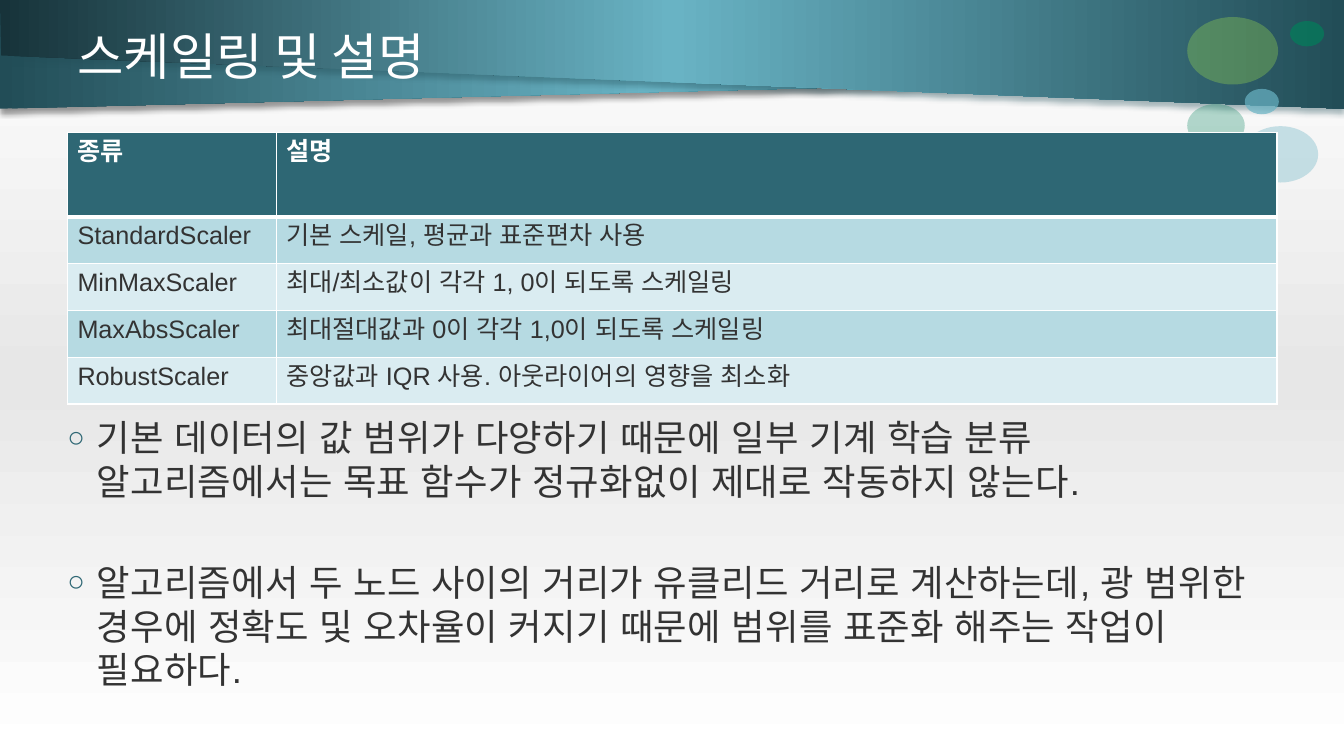
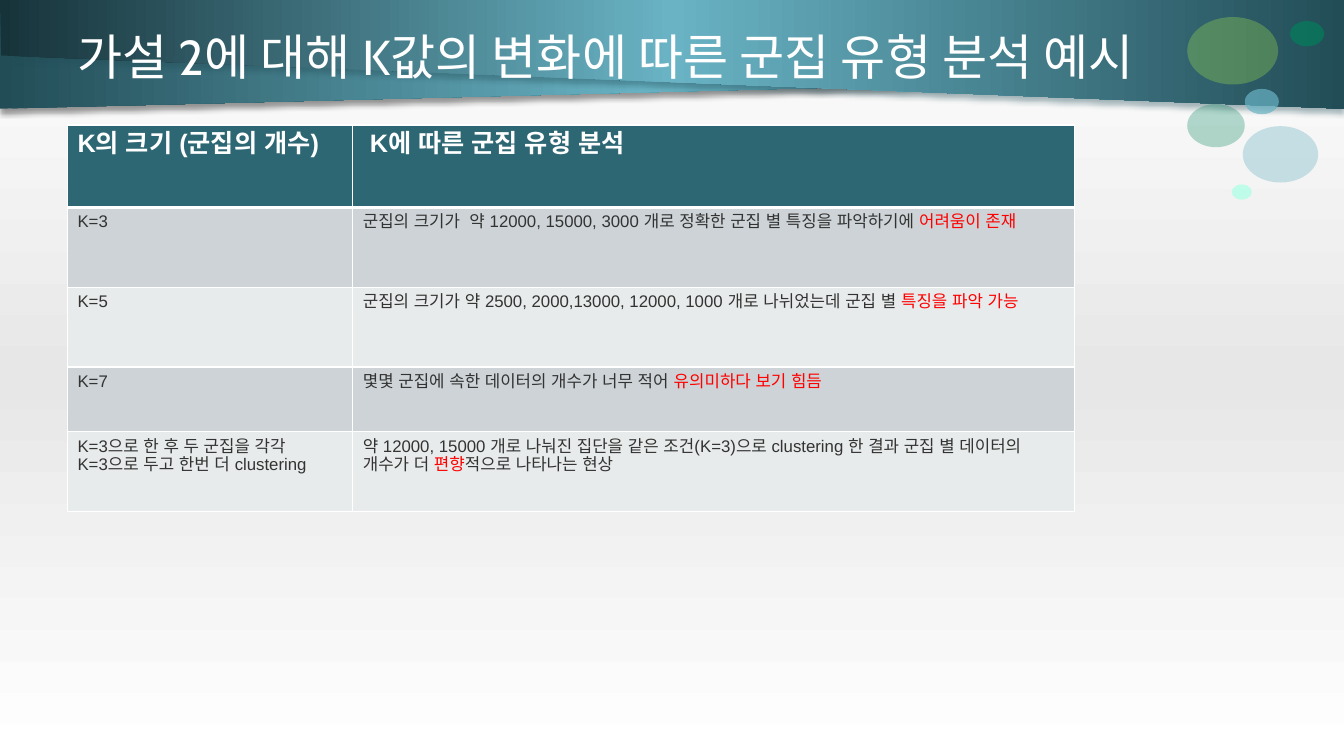
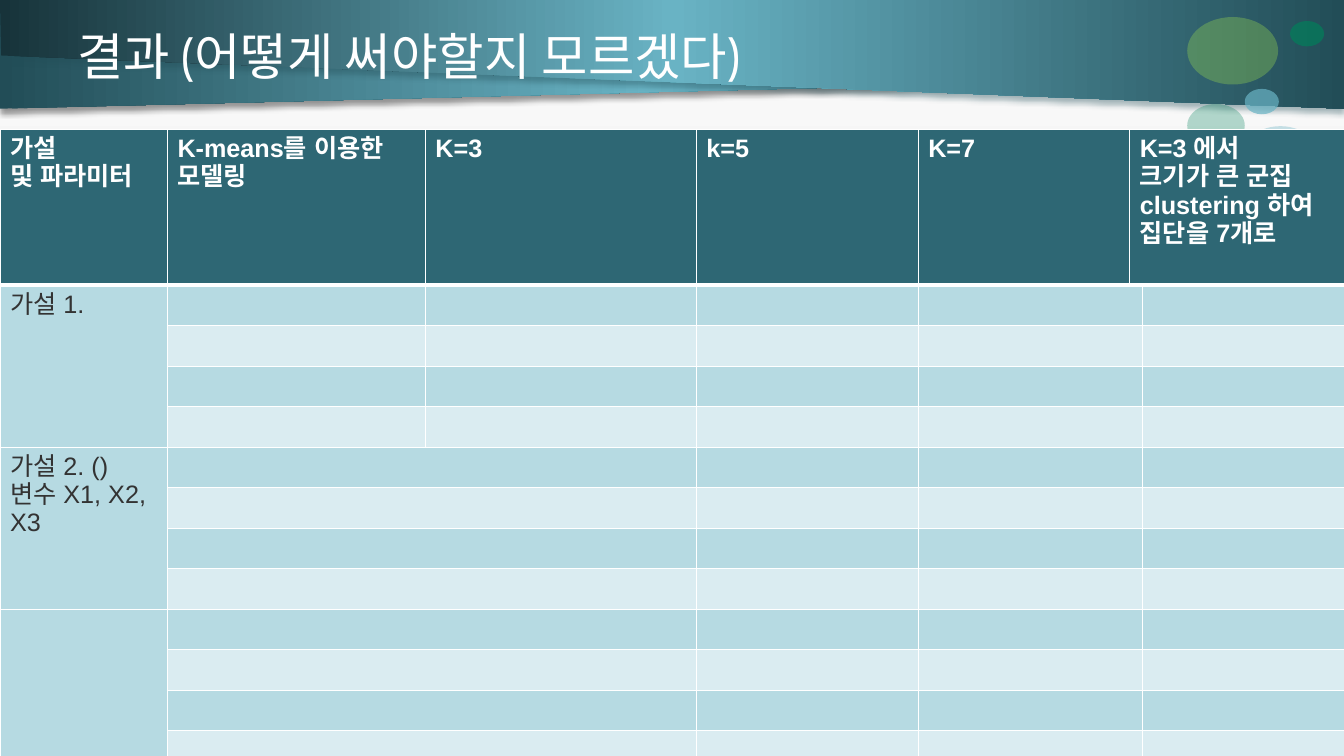
from lxml import etree
from pptx import Presentation, util as u
from pptx.dml.color import RGBColor
from pptx.enum import shapes, text
from pptx.oxml import ns

Cm, Pt = u.Cm, u.Pt

HUES = {
    "white": "FFFFFF", "black": "000000", "ink": "333333", "red": "FF0000",
    "grey": "E7E7E7", "deep": "2E6774", "teal": "69B3C4", "dark": "224D57",
    "night": "17333A", "mint": "B3FFE8", "green": "00825A", "lime": "93D151",
    "aqua": "B6DAE2", "pale": "DAECF1", "stone": "CDD3D6", "mist": "E8EBEB",
}
BANDS = [
    ([(0, 0), (32.74, 1.91), (0, 2.74)], "dark", "black"),
    ([(33.87, 0), (0, 0), (0.03, 1.4), (33.87, 2.74)], "night", "dark"),
]
DOTS = [
    (31.04, 4.65, 0.51, 0.38, "mint", 82),
    (29.92, 2.62, 1.45, 1.09, "green", 29),
    (31.32, 3.18, 1.9, 1.42, "teal", 35),
    (31.37, 2.24, 0.86, 0.64, "teal", 70),
    (29.92, 0.43, 2.29, 1.7, "lime", 36),
    (32.51, 0.53, 0.86, 0.64, "green", 65),
]


def rgb(name):
    return RGBColor.from_string(HUES[name])


def add(node, tag, **attrs):
    """Append a child element such as a:ln and return it."""
    child = etree.SubElement(node, ns.qn(tag))
    for key, val in attrs.items():
        child.set(key, str(val))
    return child


def blend(fill, root, names, angle=0):
    """Fill with evenly spaced gradient stops; root holds the gradient."""
    fill.gradient()
    fill.gradient_angle = angle
    stops = root.xpath(".//a:gsLst")[0]
    for stop in list(stops):
        stops.remove(stop)
    for i, name in enumerate(names):
        stop = add(stops, "a:gs", pos=100000 * i // (len(names) - 1))
        add(stop, "a:srgbClr", val=HUES[name])


def write(frame, words, size=18, face="Arial", hue="ink", bold=False,
          gap=0, mark=None, track=0):
    """Fill a text frame: newlines part paragraphs, *stars* turn red."""
    frame.word_wrap = True
    for i, part in enumerate(words.split("\n")):
        para = frame.add_paragraph() if i else frame.paragraphs[0]
        if i and gap:
            para.space_before = Pt(gap)
        for j, bit in enumerate(part.split("*")):
            if not bit:
                continue
            run = para.add_run()
            run.text = bit
            run.font.size = Pt(size)
            run.font.name = face
            run.font.bold = bold
            run.font.color.rgb = rgb("red" if j % 2 else hue)
            props = run._r.get_or_add_rPr()
            add(props, "a:ea", typeface=face)
            if track:
                props.set("spc", str(track))
        if mark:
            props = para._p.get_or_add_pPr()
            props.set("marL", str(Cm(0.74)))
            props.set("indent", str(-Cm(0.74)))
            add(add(props, "a:buClr"), "a:srgbClr", val=HUES["deep"])
            add(props, "a:buSzPct", val=80000)
            add(props, "a:buFont", typeface=face)
            add(props, "a:buChar", char=mark)


class Deck:
    def __init__(self):
        self.file = Presentation()
        self.file.slide_width = Cm(33.87)
        self.file.slide_height = Cm(19.05)
        self.page = None

    def start(self, title, size=36):
        """Open a slide with backdrop, bands, dots and title."""
        self.page = self.file.slides.add_slide(self.file.slide_layouts[6])
        blend(self.page.background.fill, self.page.element,
              ["white", "grey", "white"], 270)
        for band in BANDS:
            self.band(*band)
        for dot in DOTS:
            self.dot(*dot)
        self.text(1.7, 0.2, 30.48, 2.41, title, text.MSO_ANCHOR.MIDDLE,
                  size=size, face="Cabin", hue="white")

    def band(self, points, edge, shade):
        first, *rest = [(Cm(x), Cm(y)) for x, y in points]
        pen = self.page.shapes.build_freeform(*first)
        pen.add_line_segments(rest, close=True)
        form = pen.convert_to_shape()
        form.line.fill.background()
        form.shadow.inherit = False
        blend(form.fill, form.element, [edge, "teal", "dark"])
        glow = add(form.element.xpath(".//a:effectLst")[0], "a:outerShdw",
                   blurRad=Pt(4), dist=Pt(3), dir=5400000,
                   algn="t", rotWithShape=0)
        tone = add(glow, "a:srgbClr", val=HUES[shade])
        add(tone, "a:alpha", val=40000)

    def dot(self, x, y, w, h, hue, alpha):
        oval = self.page.shapes.add_shape(
            shapes.MSO_SHAPE.OVAL, Cm(x), Cm(y), Cm(w), Cm(h))
        oval.shadow.inherit = False
        oval.line.fill.background()
        oval.fill.solid()
        oval.fill.fore_color.rgb = rgb(hue)
        tone = oval.element.xpath("./p:spPr/a:solidFill/a:srgbClr")[0]
        add(tone, "a:alpha", val=alpha * 1000)

    def text(self, x, y, w, h, words, anchor=text.MSO_ANCHOR.TOP, **form):
        box = self.page.shapes.add_textbox(Cm(x), Cm(y), Cm(w), Cm(h))
        box.text_frame.vertical_anchor = anchor
        write(box.text_frame, words, **form)

    def table(self, x, y, cols, rows, cells, tints=("aqua", "pale"),
              size=18, spans=()):
        """Place a table; spans lists first and last cell of each merge."""
        grid = self.page.shapes.add_table(
            len(rows), len(cols), Cm(x), Cm(y),
            Cm(sum(cols)), Cm(sum(rows))).table
        grid.first_row = grid.horz_banding = False
        for col, wide in zip(grid.columns, cols):
            col.width = Cm(wide)
        for r, (row, high) in enumerate(zip(grid.rows, rows)):
            row.height = Cm(high)
            for c, cell in enumerate(row.cells):
                self.edge(cell, r)
                cell.fill.solid()
                cell.fill.fore_color.rgb = rgb(tints[(r - 1) % 2] if r else "deep")
                words = cells.get((r, c))
                if words and r:
                    write(cell.text_frame, words, size=size)
                elif words:
                    write(cell.text_frame, words, hue="white", bold=True)
        for head, tail in spans:
            grid.cell(*head).merge(grid.cell(*tail))

    def edge(self, cell, row):
        """Draw white cell borders, thick below the header row."""
        props = cell._tc.get_or_add_tcPr()
        for side in "LRTB":
            thick = (row, side) in ((0, "B"), (1, "T"))
            line = add(props, "a:ln" + side, w=Pt(3 if thick else 1))
            add(add(line, "a:solidFill"), "a:srgbClr", val=HUES["white"])


def index(rows):
    return {(r, c): words for r, row in enumerate(rows)
            for c, words in enumerate(row)}


def main():
    deck = Deck()

    deck.start("스케일링 및 설명")
    deck.table(1.7, 3.33, [5.26, 25.22], [2.13] + [1.18] * 4, index([
        ("종류", "설명"),
        ("StandardScaler", "기본 스케일, 평균과 표준편차 사용"),
        ("MinMaxScaler", "최대/최소값이 각각 1, 0이 되도록 스케일링"),
        ("MaxAbsScaler", "최대절대값과 0이 각각 1,0이 되도록 스케일링"),
        ("RobustScaler", "중앙값과 IQR 사용. 아웃라이어의 영향을 최소화"),
    ]))
    deck.text(
        1.45, 10.34, 30.91, 7.52,
        "기본 데이터의 값 범위가 다양하기 때문에 일부 기계 학습 분류 "
        "알고리즘에서는 목표 함수가 정규화없이 제대로 작동하지 않는다.\n"
        "알고리즘에서 두 노드 사이의 거리가 유클리드 거리로 계산하는데, "
        "광 범위한 경우에 정확도 및 오차율이 커지기 때문에 범위를 표준화 "
        "해주는 작업이 필요하다.",
        size=26, gap=41, mark="○", track=10)

    deck.start("가설 2에 대해 K값의 변화에 따른 군집 유형 분석 예시", 35)
    deck.table(1.7, 3.15, [7.19, 18.19], [2.08, 2.01, 2.01, 1.63, 2.01], index([
        ("K의 크기 (군집의 개수)", " K에 따른 군집 유형 분석"),
        ("K=3", "군집의 크기가  약 12000, 15000, 3000 개로 정확한 군집 별 "
                "특징을 파악하기에 *어려움이 존재*"),
        ("K=5", "군집의 크기가 약 2500, 2000,13000, 12000, 1000 개로 "
                "나뉘었는데 군집 별 *특징을 파악 가능*"),
        ("K=7", "몇몇 군집에 속한 데이터의 개수가 너무 적어 "
                "*유의미하다 보기 힘듬*"),
        ("K=3으로 한 후 두 군집을 각각\nK=3으로 두고 한번 더 clustering",
         "약 12000, 15000 개로 나눠진 집단을 같은 조건(K=3)으로 clustering "
         "한 결과 군집 별 데이터의 개수가 더 *편향*적으로 나타나는 현상"),
    ]), tints=("stone", "mist"), size=12)

    deck.start("결과 (어떻게 써야할지 모르겠다)")
    cells = index([(
        "가설\n및 파라미터", "K-means를 이용한 모델링", "K=3", "k=5", "K=7",
        "K=3 에서\n크기가 큰 군집 clustering 하여 집단을 7개로")])
    cells[1, 0] = "가설 1."
    cells[5, 0] = "가설 2. ()\n변수 X1, X2, X3"
    spans = [((0, 5), (0, 6))]
    spans += [((r, 0), (r + 3, 0)) for r in (1, 5, 9)]
    spans += [((r, 4), (r, 5)) for r in range(1, 13)]
    spans += [((r, 1), (r, 2)) for r in range(5, 13)]
    deck.table(0, 3.27, [4.22, 6.5, 6.83, 5.59, 5.33, 0.33, 5.26],
               [3.92] + [1.02] * 12, cells, spans=spans)

    deck.file.save("out.pptx")


if __name__ == "__main__":
    main()
